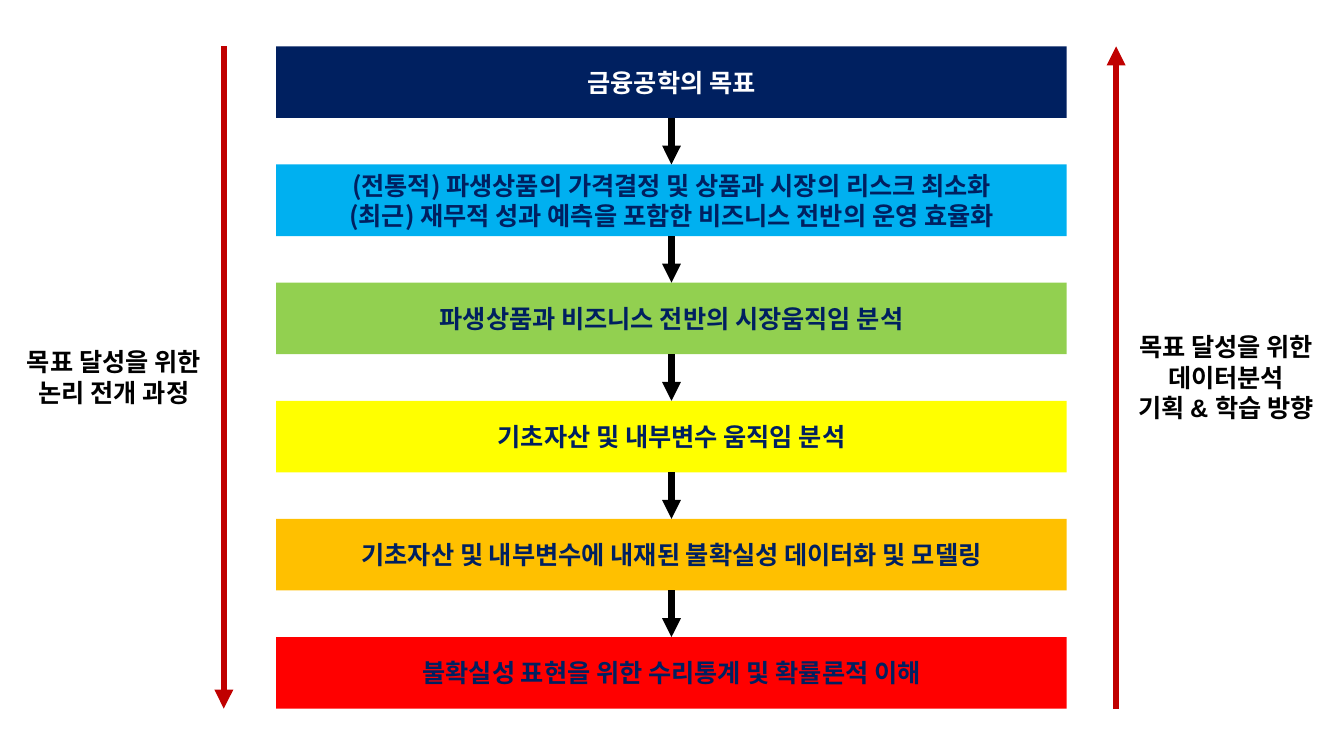
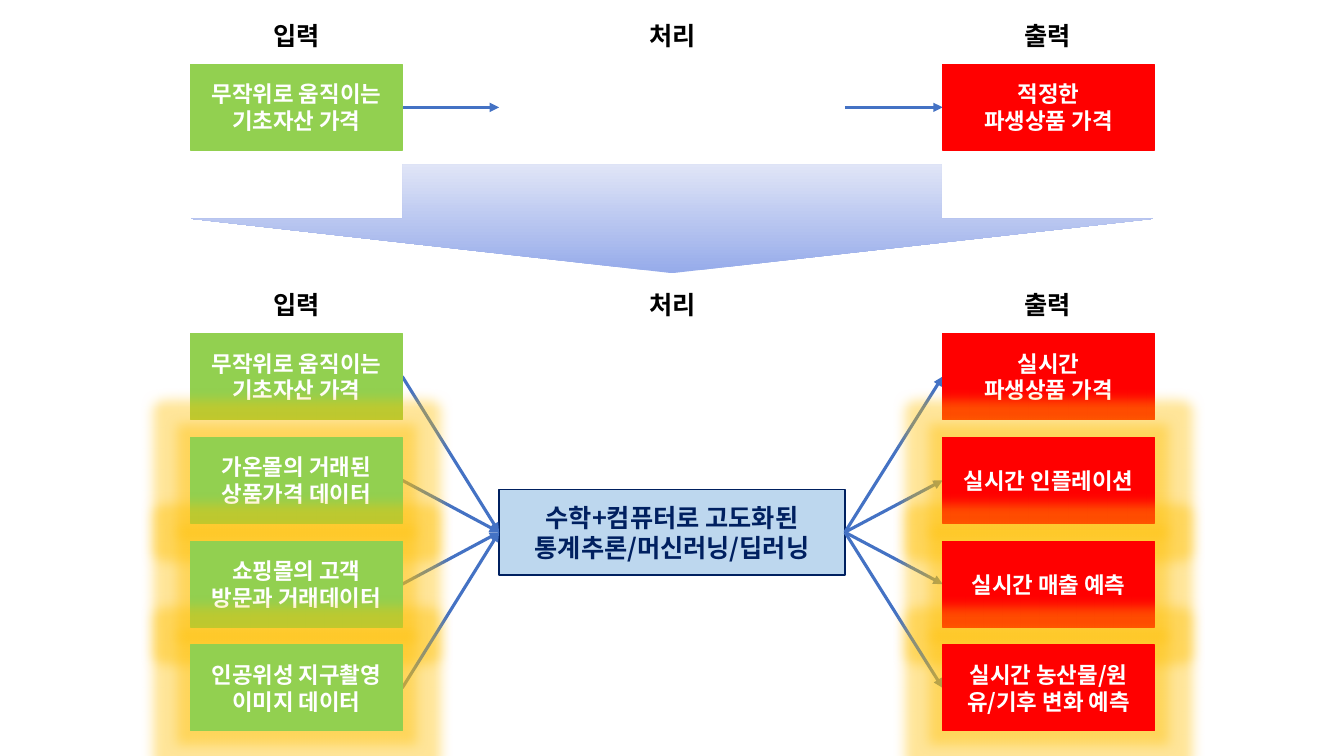
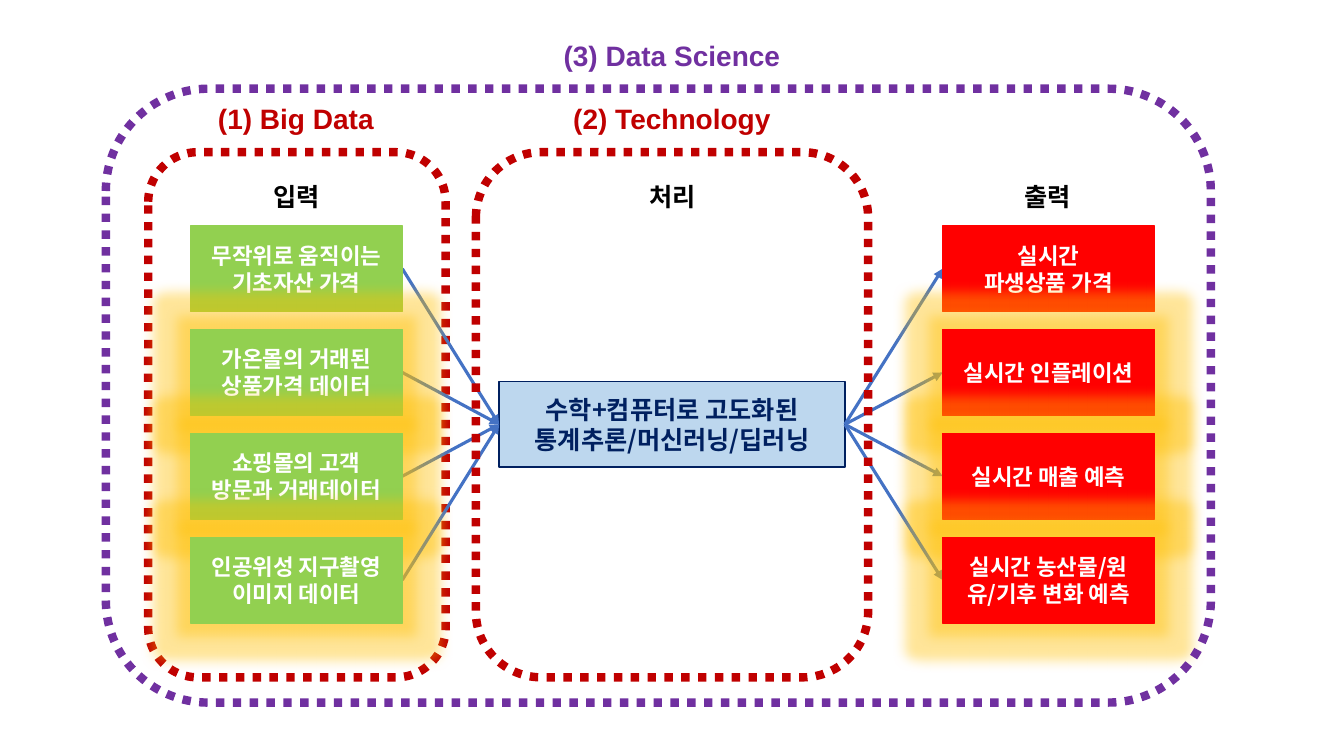
import pptx
import pptx.util
import pptx.dml.color
import pptx.enum.dml
import pptx.enum.shapes
import pptx.enum.text
import pptx.oxml
import pptx.oxml.ns

Inches = pptx.util.Inches
Pt = pptx.util.Pt
KIND = pptx.enum.shapes.MSO_SHAPE

SANS, KOR = "Arial", "Noto Sans CJK KR"
BLACK, WHITE, NAVY = "000000", "FFFFFF", "002060"
GREEN, RED, CRIMSON = "92D050", "FF0000", "C00000"
BLUE, PALE, GOLD, PURPLE = "4472C4", "BDD7EE", "FFC000", "7030A0"

STEPS = [
    ("금융공학의 목표", NAVY, WHITE),
    ("(전통적) 파생상품의 가격결정 및 상품과 시장의 리스크 최소화\n"
     "(최근) 재무적 성과 예측을 포함한 비즈니스 전반의 운영 효율화", "00B0F0", NAVY),
    ("파생상품과 비즈니스 전반의 시장움직임 분석", GREEN, NAVY),
    ("기초자산 및 내부변수 움직임 분석", "FFFF00", NAVY),
    ("기초자산 및 내부변수에 내재된 불확실성 데이터화 및 모델링", GOLD, NAVY),
    ("불확실성 표현을 위한 수리통계 및 확률론적 이해", RED, NAVY),
]
SIDES = [
    ("목표 달성을 위한\n논리 전개 과정", 0.08, 3.39, 0.71),
    ("목표 달성을 위한\n데이터분석\n기획 & 학습 방향", 11.11, 3.24, 1.01),
]
HEADS = [("처리", 4.59), ("입력", 0.86), ("출력", 8.31)]
BEFORE = [("무작위로 움직이는 기초자산 가격", "적정한\n파생상품 가격")]
AFTER = [
    ("무작위로 움직이는 기초자산 가격", "실시간\n파생상품 가격"),
    ("가온몰의 거래된 상품가격 데이터", "실시간 인플레이션"),
    ("쇼핑몰의 고객\n방문과 거래데이터", "실시간 매출 예측"),
    ("인공위성 지구촬영\n이미지 데이터", "실시간 농산물/원유/기후 변화 예측"),
]
CORE = "수학+컴퓨터로 고도화된\n통계추론/머신러닝/딥러닝"
FRAMES = [
    ("(1) Big Data", CRIMSON, (1.47, 1.51, 2.95, 5.21), (1.72, 0.96, 2.43, 0.44)),
    ("(2) Technology", CRIMSON, (4.72, 1.51, 3.89, 5.21), (5.2, 0.96, 2.93, 0.44)),
    ("(3) Data Science", PURPLE, (1.05, 0.88, 10.96, 6.09), (5.2, 0.33, 2.93, 0.44)),
]

IN_X, OUT_X, CELL_W, CELL_H, PITCH = 1.89, 9.35, 2.1, 0.85, 1.03
CORE_X, CORE_W = 4.95, 3.43


def color(code):
    return pptx.dml.color.RGBColor.from_string(code)


def add_xml(parent, tag, body=""):
    space = pptx.oxml.ns.nsdecls("a")
    node = pptx.oxml.parse_xml(f"<a:{tag} {space}>{body}</a:{tag.split()[0]}>")
    parent.append(node)


def write(frame, text, size, ink, font):
    frame.word_wrap = True
    frame.text = text
    for para in frame.paragraphs:
        para.alignment = pptx.enum.text.PP_ALIGN.CENTER
        para.font.size = Pt(size)
        para.font.bold = True
        para.font.name = font
        para.font.color.rgb = color(ink)


def label(slide, text, area, size=18, ink=BLACK):
    frame = slide.shapes.add_textbox(*map(Inches, area)).text_frame
    write(frame, text, size, ink, SANS)
    frame.auto_size = pptx.enum.text.MSO_AUTO_SIZE.SHAPE_TO_FIT_TEXT


def box(slide, text, area, fill, ink, size=18, edge=None, glow=False):
    shape = slide.shapes.add_shape(KIND.RECTANGLE, *map(Inches, area))
    shape.fill.solid()
    shape.fill.fore_color.rgb = color(fill)
    if edge:
        shape.line.color.rgb = color(edge)
        shape.line.width = Pt(1)
    else:
        shape.line.fill.background()
    if glow:
        tint = f'<a:srgbClr val="{GOLD}"><a:alpha val="40000"/></a:srgbClr>'
        add_xml(shape._element.spPr, "effectLst",
                f'<a:glow rad="{Inches(0.25)}">{tint}</a:glow>')
    else:
        shape.shadow.inherit = False
    write(shape.text_frame, text, size, ink, KOR)
    shape.text_frame.vertical_anchor = pptx.enum.text.MSO_ANCHOR.MIDDLE


def arrow(slide, start, end, ink, width):
    straight = pptx.enum.shapes.MSO_CONNECTOR.STRAIGHT
    link = slide.shapes.add_connector(straight, *map(Inches, start + end))
    link.line.color.rgb = color(ink)
    link.line.width = Pt(width)
    add_xml(link.line._get_or_add_ln(), 'tailEnd type="triangle"')
    add_xml(link._element.spPr, "effectLst")


def stage(slide, top, rows, core=None):
    for text, left in HEADS:
        label(slide, text, (left, top, 4.16, 0.4))
    first = top + 0.49
    mid = first + CELL_H / 2 + (len(rows) - 1) * PITCH / 2
    if core:
        box(slide, core, (CORE_X, mid - CELL_H / 2, CORE_W, CELL_H), PALE, NAVY, edge=NAVY)
    for i, (source, result) in enumerate(rows):
        y = first + i * PITCH
        center = y + CELL_H / 2
        arrow(slide, (IN_X + CELL_W, center), (CORE_X, mid), BLUE, 2.25)
        box(slide, source, (IN_X, y, CELL_W, CELL_H), GREEN, WHITE, 16, GREEN, i > 0)
        arrow(slide, (CORE_X + CORE_W, mid), (OUT_X, center), BLUE, 2.25)
        box(slide, result, (OUT_X, y, CELL_W, CELL_H), RED, WHITE, 16, RED, i > 0)


def ring(slide, text, ink, area, place):
    shape = slide.shapes.add_shape(KIND.ROUNDED_RECTANGLE, *map(Inches, area))
    shape.shadow.inherit = False
    shape.fill.background()
    shape.line.color.rgb = color(ink)
    shape.line.width = Pt(6)
    shape.line.dash_style = pptx.enum.dml.MSO_LINE.ROUND_DOT
    label(slide, text, place, 20, ink)


def flow(slide):
    top, high, pitch, mid = 0.46, 0.71, 1.172, 6.66
    for i, (text, fill, ink) in enumerate(STEPS):
        y = top + i * pitch
        box(slide, text, (2.74, y, 7.84, high), fill, ink)
        if i:
            arrow(slide, (mid, y - pitch + high), (mid, y), BLACK, 4.5)
    end = top + (len(STEPS) - 1) * pitch + high
    arrow(slide, (2.22, top), (2.22, end), CRIMSON, 4.5)
    arrow(slide, (11.07, end), (11.07, top), CRIMSON, 4.5)
    for text, x, y, tall in SIDES:
        label(slide, text, (x, y, 2.1, tall))


def shift(slide):
    down = slide.shapes.add_shape(KIND.DOWN_ARROW, *map(Inches, (1.89, 1.63, 9.55, 1.08)))
    down.shadow.inherit = False
    down.adjustments[0] = 0.56
    down.adjustments[1] = 0.5
    down.line.fill.background()
    down.fill.gradient()
    down.fill.gradient_angle = 90
    for stop, (code, spot) in zip(down.fill.gradient_stops, [("96ABEA", 0), ("E0E5F7", 1)]):
        stop.color.rgb = color(code)
        stop.position = spot
    stage(slide, 0.15, BEFORE)
    stage(slide, 2.82, AFTER, CORE)


def scope(slide):
    ring(slide, *FRAMES[0])
    stage(slide, 1.75, AFTER, CORE)
    for frame in FRAMES[1:]:
        ring(slide, *frame)


deck = pptx.Presentation()
deck.slide_width = Inches(13.33)
deck.slide_height = Inches(7.5)
for build in (flow, shift, scope):
    build(deck.slides.add_slide(deck.slide_layouts[6]))
deck.save("out.pptx")
